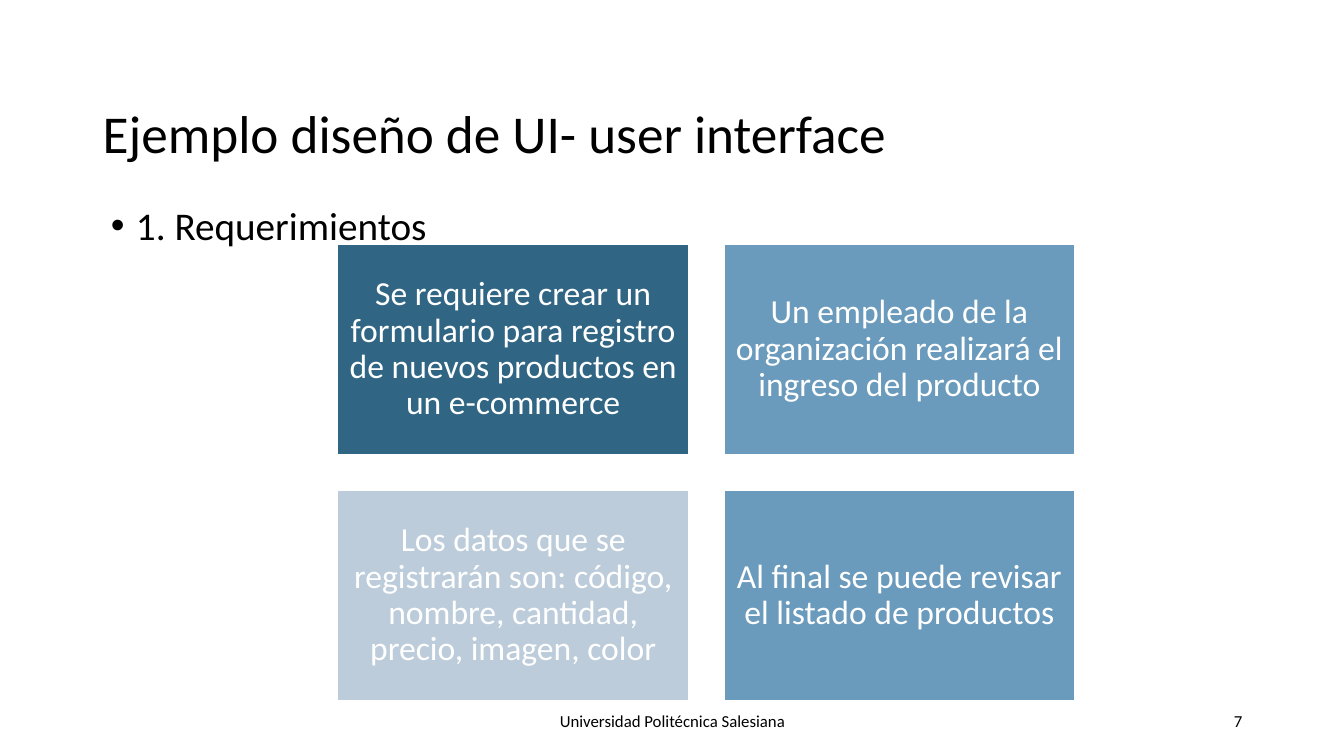
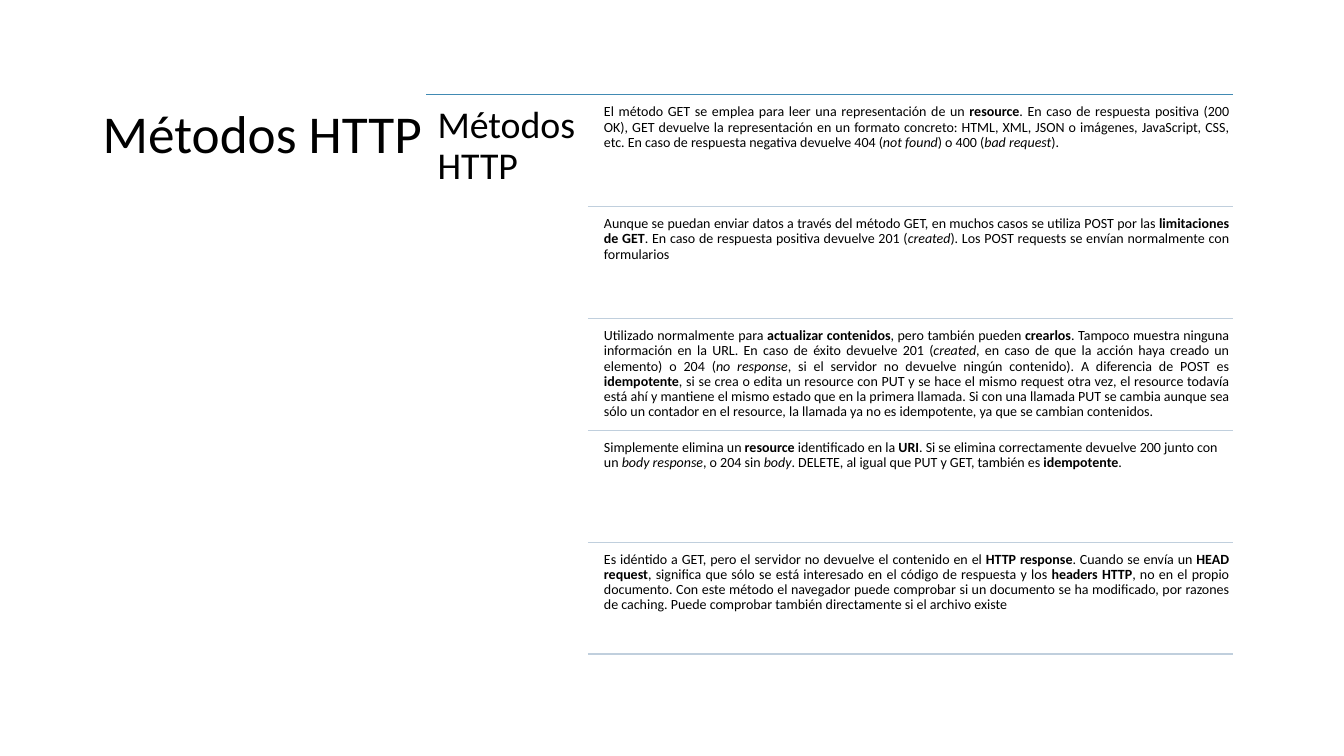
"""Build two lesson slides: user interface requirements and HTTP methods."""
from dataclasses import dataclass
from typing import Any

from lxml.etree import SubElement
from pptx import Presentation
from pptx.dml.color import RGBColor
from pptx.enum.shapes import MSO_CONNECTOR, MSO_SHAPE
from pptx.enum.text import MSO_ANCHOR, PP_ALIGN
from pptx.oxml.ns import qn
from pptx.slide import Slide
from pptx.text.text import TextFrame
from pptx.util import Inches, Pt

BLACK = RGBColor(0x00, 0x00, 0x00)
WHITE = RGBColor(0xFF, 0xFF, 0xFF)
DEEP_BLUE = RGBColor(0x30, 0x66, 0x84)
MID_BLUE = RGBColor(0x6A, 0x9A, 0xBC)
PALE_BLUE = RGBColor(0xBC, 0xCC, 0xDA)
TOP_RULE = RGBColor(0x41, 0x8A, 0xB3)
ROW_RULE = RGBColor(0xC0, 0xCF, 0xDD)
FONT = "Calibri"


@dataclass(frozen=True)
class Area:
    left: float
    top: float
    width: float
    height: float


@dataclass(frozen=True)
class Span:
    text: str
    bold: bool = False
    italic: bool = False


@dataclass(frozen=True)
class Style:
    size: float
    color: RGBColor = BLACK
    align: PP_ALIGN = PP_ALIGN.LEFT
    anchor: MSO_ANCHOR = MSO_ANCHOR.TOP
    line_spacing: float = 0.9
    inset: float | None = None
    bullet: bool = False


@dataclass(frozen=True)
class Card:
    text: str
    fill: RGBColor


@dataclass(frozen=True)
class Method:
    spans: tuple[Span, ...]
    align: PP_ALIGN = PP_ALIGN.JUSTIFY


TITLE_AREA = Area(0.92, 0.85, 11.5, 1)
TITLE = Style(38, anchor=MSO_ANCHOR.MIDDLE)
BULLET = Style(28, bullet=True)
FOOTER = Style(12, align=PP_ALIGN.CENTER, anchor=MSO_ANCHOR.MIDDLE, line_spacing=1.0)
PAGE_NUMBER = Style(12, align=PP_ALIGN.RIGHT, anchor=MSO_ANCHOR.MIDDLE, line_spacing=1.0)
CARD = Style(24, WHITE, PP_ALIGN.CENTER, MSO_ANCHOR.MIDDLE, inset=0.1)
SIDE_HEADING = Style(27, inset=0.11)

CARDS = (
    Card("Se requiere crear un formulario para registro de nuevos productos en un e-commerce", DEEP_BLUE),
    Card("Un empleado de la organización realizará el ingreso del producto", MID_BLUE),
    Card("Los datos que se registrarán son: código, nombre, cantidad, precio, imagen, color", PALE_BLUE),
    Card("Al final se puede revisar el listado de productos", MID_BLUE),
)

METHODS = (
    Method((
        Span("El método GET se emplea para leer una representación de un "),
        Span("resource", bold=True),
        Span(". En caso de respuesta positiva (200 OK), GET devuelve la representación en un formato "
             "concreto: HTML, XML, JSON o imágenes, JavaScript, CSS, etc. En caso de respuesta "
             "negativa devuelve 404 ("),
        Span("not found", italic=True),
        Span(") o 400 ("),
        Span("bad request", italic=True),
        Span(")."),
    )),
    Method((
        Span("Aunque se puedan enviar datos a través del método GET, en muchos casos se utiliza POST por las "),
        Span("limitaciones de GET", bold=True),
        Span(". En caso de respuesta positiva devuelve 201 ("),
        Span("created", italic=True),
        Span("). Los POST requests se envían normalmente con formularios"),
    )),
    Method((
        Span("Utilizado normalmente para "),
        Span("actualizar contenidos", bold=True),
        Span(", pero también pueden "),
        Span("crearlos", bold=True),
        Span(". Tampoco muestra ninguna información en la URL. En caso de éxito devuelve 201 ("),
        Span("created", italic=True),
        Span(", en caso de que la acción haya creado un elemento) o 204 ("),
        Span("no response", italic=True),
        Span(", si el servidor no devuelve ningún contenido). A diferencia de POST es "),
        Span("idempotente", bold=True),
        Span(", si se crea o edita un resource con PUT y se hace el mismo request otra vez, el resource "
             "todavía está ahí y mantiene el mismo estado que en la primera llamada. Si con una llamada "
             "PUT se cambia aunque sea sólo un contador en el resource, la llamada ya no es idempotente, "
             "ya que se cambian contenidos."),
    )),
    Method((
        Span("Simplemente elimina un "),
        Span("resource", bold=True),
        Span(" identificado en la "),
        Span("URI", bold=True),
        Span(". Si se elimina correctamente devuelve 200 junto con un "),
        Span("body response", italic=True),
        Span(", o 204 sin "),
        Span("body", italic=True),
        Span(". DELETE, al igual que PUT y GET, también es "),
        Span("idempotente", bold=True),
        Span("."),
    ), PP_ALIGN.LEFT),
    Method((
        Span("Es idéntido a GET, pero el servidor no devuelve el contenido en el "),
        Span("HTTP response", bold=True),
        Span(". Cuando se envía un "),
        Span("HEAD request", bold=True),
        Span(", significa que sólo se está interesado en el código de respuesta y los "),
        Span("headers HTTP", bold=True),
        Span(", no en el propio documento. Con este método el navegador puede comprobar si un documento "
             "se ha modificado, por razones de caching. Puede comprobar también directamente si el "
             "archivo existe"),
    )),
)


def apply_format(target: Any, values: dict[str, Any]) -> None:
    """Set every named attribute on the target."""
    for name, value in values.items():
        setattr(target, name, value)


def placed(area: Area) -> tuple[int, int, int, int]:
    """Give the area as lengths."""
    return Inches(area.left), Inches(area.top), Inches(area.width), Inches(area.height)


def write_text(frame: TextFrame, spans: tuple[Span, ...], style: Style) -> None:
    """Write one paragraph of spans into the frame."""
    apply_format(frame, {"word_wrap": True, "vertical_anchor": style.anchor})
    if style.inset is not None:
        sides = ("margin_left", "margin_top", "margin_right", "margin_bottom")
        apply_format(frame, dict.fromkeys(sides, Inches(style.inset)))
    para = frame.paragraphs[0]
    apply_format(para, {"alignment": style.align, "line_spacing": style.line_spacing})
    if style.bullet:
        properties = para._p.get_or_add_pPr()
        properties.set("marL", str(Inches(0.25)))
        properties.set("indent", str(-Inches(0.25)))
        SubElement(properties, qn("a:buFont"), typeface="Arial")
        SubElement(properties, qn("a:buChar"), char="•")
    for span in spans:
        run = para.add_run()
        run.text = span.text
        apply_format(run.font, {"name": FONT, "size": Pt(style.size),
                                "bold": span.bold, "italic": span.italic})
        run.font.color.rgb = style.color


def add_text(page: Slide, area: Area, spans: tuple[Span, ...], style: Style) -> None:
    """Add a text box."""
    write_text(page.shapes.add_textbox(*placed(area)).text_frame, spans, style)


def add_card(page: Slide, area: Area, card: Card) -> None:
    """Add a filled rectangle with centred text."""
    box = page.shapes.add_shape(MSO_SHAPE.RECTANGLE, *placed(area))
    box.shadow.inherit = False
    box.fill.solid()
    box.fill.fore_color.rgb = card.fill
    box.line.color.rgb = WHITE
    box.line.width = Pt(1)
    write_text(box.text_frame, (Span(card.text),), CARD)


def add_rule(page: Slide, left: float, right: float, top: float, color: RGBColor) -> None:
    """Add a horizontal line."""
    rule = page.shapes.add_connector(
        MSO_CONNECTOR.STRAIGHT, Inches(left), Inches(top), Inches(right), Inches(top))
    rule.line.color.rgb = color
    rule.line.width = Pt(1)
    SubElement(rule._element.spPr, qn("a:effectLst"))


def add_page(deck: Any, title: str) -> Slide:
    """Add a blank page with its title."""
    page = deck.slides.add_slide(deck.slide_layouts[6])
    add_text(page, TITLE_AREA, (Span(title),), TITLE)
    return page


def build_requirements(deck: Any) -> None:
    """Draw the requirements page with its grid of cards."""
    page = add_page(deck, "Ejemplo diseño de UI- user interface")
    add_text(page, Area(1, 2, 11.42, 4.76), (Span("1. Requerimientos"),), BULLET)
    add_text(page, Area(4.42, 6.95, 4.5, 0.4), (Span("Universidad Politécnica Salesiana"),), FOOTER)
    add_text(page, Area(9.42, 6.95, 3, 0.4), (Span("7"),), PAGE_NUMBER)
    width, height, gap = 3.48, 2.09, 0.35
    for index, card in enumerate(CARDS):
        row, column = divmod(index, 2)
        left, top = 3.35 + column * (width + gap), 2.42 + row * (height + gap)
        add_card(page, Area(left, top, width, height), card)


def build_methods(deck: Any) -> None:
    """Draw the HTTP methods page with its ruled rows."""
    page = add_page(deck, "Métodos HTTP")
    left, row_left, right, top, step = 4.23, 5.83, 12.23, 0.94, 1.11
    add_rule(page, left, right, top, TOP_RULE)
    add_text(page, Area(left, top, row_left - left, 5.6), (Span("Métodos HTTP"),), SIDE_HEADING)
    for index, method in enumerate(METHODS):
        row_top = top + index * step
        add_text(page, Area(row_left + 0.12, row_top + 0.06, 6.28, 1.06), method.spans,
                 Style(10, align=method.align, inset=0.04))
        add_rule(page, row_left, right, row_top + step, ROW_RULE)


def main() -> None:
    """Build and save the deck."""
    deck = Presentation()
    apply_format(deck, {"slide_width": Inches(13.33), "slide_height": Inches(7.5)})
    build_requirements(deck)
    build_methods(deck)
    deck.save("out.pptx")


if __name__ == "__main__":
    main()
